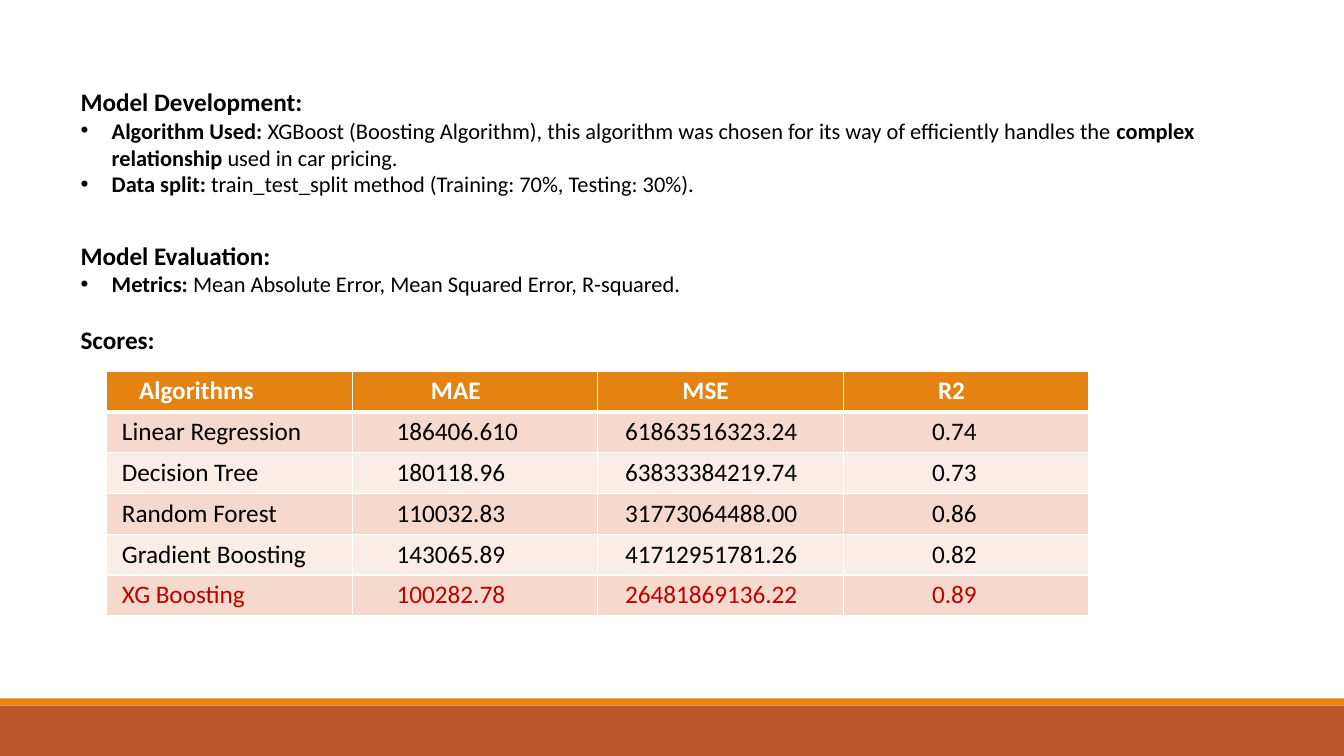
import pptx
import pptx.util
import pptx.dml.color
import pptx.enum.shapes
import pptx.oxml
import pptx.oxml.ns
from pptx.util import Inches

FONT = "Calibri"
NOTES = [
    (0, 0, [("Model Development:", True)]),
    (1, 0, [("Algorithm Used: ", True),
            ("XGBoost (Boosting Algorithm), this algorithm was chosen for "
             "its way of efficiently handles the ", False),
            ("complex relationship ", True),
            ("used in car pricing.", False)]),
    (1, 0, [("Data split: ", True),
            ("train_test_split method (Training: 70%, Testing: 30%).", False)]),
    (0, 19.5, [("Model Evaluation:", True)]),
    (1, 0, [("Metrics: ", True),
            ("Mean Absolute Error, Mean Squared Error, R-squared.", False)]),
    (0, 19.5, [("Scores:", True)]),
]
SCORES = [
    ("Algorithms", "MAE", "MSE", "R2"),
    ("Linear Regression", "186406.610", "61863516323.24", "0.74"),
    ("Decision Tree", "180118.96", "63833384219.74", "0.73"),
    ("Random Forest", "110032.83", "31773064488.00", "0.86"),
    ("Gradient Boosting", "143065.89", "41712951781.26", "0.82"),
    ("XG Boosting", "100282.78", "26481869136.22", "0.89"),
]
HEAD_PADS = (0.32, 0.78, 0.84, 0.94)
BODY_PADS = (0.15, 0.44, 0.27, 0.88)


def rgb(code):
    """Turn a hex string into a colour."""
    return pptx.dml.color.RGBColor.from_string(code)


def style(run, size, color, bold):
    """Set the font of a run."""
    font = run.font
    font.name, font.size, font.bold = FONT, pptx.util.Pt(size), bold
    font.color.rgb = rgb(color)


def element(tag, **attrs):
    """Make a drawing element with attributes."""
    node = pptx.oxml.parse_xml(f"<a:{tag} {pptx.oxml.ns.nsdecls('a')}/>")
    for name, value in attrs.items():
        node.set(name, str(value))
    return node


def add_bullet(para):
    """Give a paragraph a hanging bullet."""
    props = para._p.get_or_add_pPr()
    props.set("marL", str(Inches(0.31)))
    props.set("indent", str(-Inches(0.31)))
    props.append(element("buFont", typeface="Arial"))
    props.append(element("buChar", char="•"))


def add_border(cell, top, bottom):
    """Draw white borders round a cell."""
    props = cell._tc.get_or_add_tcPr()
    sides = (("lnL", 1), ("lnR", 1), ("lnT", top), ("lnB", bottom))
    for place, (tag, width) in enumerate(sides):
        line = element(tag, w=pptx.util.Pt(width))
        fill = element("solidFill")
        fill.append(element("srgbClr", val="FFFFFF"))
        line.append(fill)
        props.insert(place, line)


def add_footer(slide, left, top, width, height):
    """Place the two footer bands."""
    thin = 0.07
    bands = ((top + thin, height - thin, "BD582C"), (top, thin, "E48312"))
    for y, tall, color in bands:
        band = slide.shapes.add_shape(
            pptx.enum.shapes.MSO_SHAPE.RECTANGLE,
            Inches(left), Inches(y), Inches(width), Inches(tall))
        band.shadow.inherit = False
        band.fill.solid()
        band.fill.fore_color.rgb = rgb(color)
        band.line.fill.background()


def add_notes(slide, left, top, width, height):
    """Place the headings and bullets."""
    box = slide.shapes.add_textbox(
        Inches(left), Inches(top), Inches(width), Inches(height))
    frame = box.text_frame
    frame.word_wrap = True
    for index, (level, gap, parts) in enumerate(NOTES):
        para = frame.add_paragraph() if index else frame.paragraphs[0]
        para.space_before = pptx.util.Pt(gap)
        if level:
            add_bullet(para)
        elif index < len(NOTES) - 1:
            para.line_spacing = 1.5
        for text, bold in parts:
            run = para.add_run()
            run.text = text
            style(run, 16 if level else 18, "000000", bold)


def add_scores(slide, left, top, width, height):
    """Place the table of scores."""
    rows, cols = len(SCORES), len(SCORES[0])
    table = slide.shapes.add_table(
        rows, cols, Inches(left), Inches(top),
        Inches(width), Inches(height)).table
    for r, values in enumerate(SCORES):
        if r == 0:
            fill, color, pads = "E48312", "FFFFFF", HEAD_PADS
        else:
            fill = "F5D9CC" if r % 2 else "FAEDE7"
            color = "C00000" if r == rows - 1 else "000000"
            pads = BODY_PADS
        for c, value in enumerate(values):
            cell = table.cell(r, c)
            cell.text_frame.text = value
            cell.margin_left = Inches(pads[c])
            cell.fill.solid()
            cell.fill.fore_color.rgb = rgb(fill)
            style(cell.text_frame.paragraphs[0].runs[0], 18, color, r == 0)
            add_border(cell, 3 if r == 1 else 1, 3 if r == 0 else 1)


def main():
    """Build and save the slide."""
    deck = pptx.Presentation()
    deck.slide_width, deck.slide_height = Inches(13.33), Inches(7.5)
    slide = deck.slides.add_slide(deck.slide_layouts[6])
    add_footer(slide, 0, 6.93, 13.33, 0.57)
    add_notes(slide, 0.7, 0.66, 11.68, 3.47)
    add_scores(slide, 1.06, 3.68, 9.74, 2.43)
    deck.save("out.pptx")


if __name__ == "__main__":
    main()
